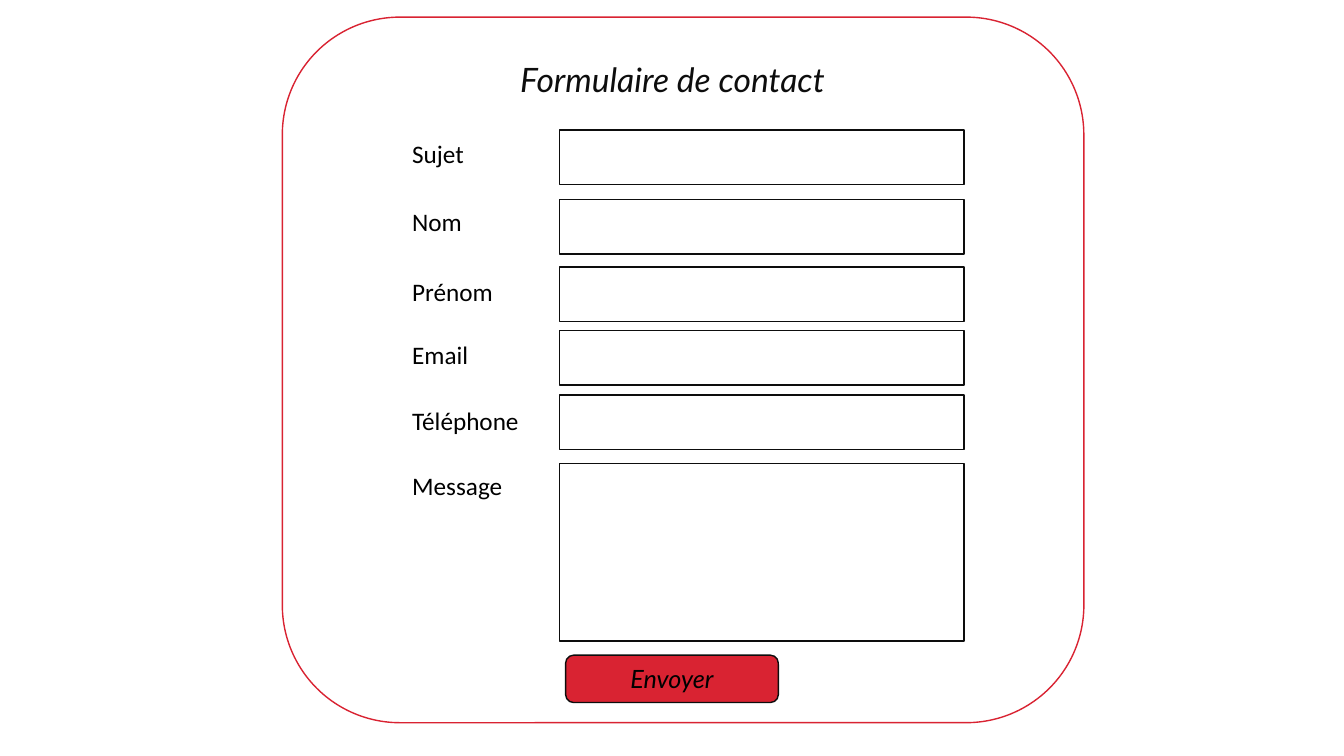
from dataclasses import dataclass

from pptx import Presentation
from pptx.dml.color import RGBColor
from pptx.enum.shapes import MSO_SHAPE
from pptx.enum.text import MSO_ANCHOR, MSO_AUTO_SIZE, PP_ALIGN
from pptx.shapes.autoshape import Shape
from pptx.slide import Slide
from pptx.util import Inches, Pt

COLORS = {"red": "D92332", "ink": "0D0D0D", "black": "000000", "white": "FFFFFF"}
LABEL_LEFT, LABEL_WIDTH = 3.99, 2.77
FIELD_LEFT, FIELD_WIDTH = 5.55, 4.01
ROW_HEIGHT = 0.54


@dataclass
class FormField:
    label: str
    label_top: float
    box_top: float
    box_height: float = ROW_HEIGHT


FIELDS = [
    FormField("Sujet", 1.25, 1.29),
    FormField("Nom", 1.93, 1.98),
    FormField("Prénom", 2.62, 2.65),
    FormField("Email", 3.25, 3.28),
    FormField("Téléphone", 3.9, 3.92),
    FormField("Message", 4.55, 4.6, 1.76),
]


def color(name: str) -> RGBColor:
    return RGBColor.from_string(COLORS[name])


def write_text(shape: Shape, text: str, size: int, font_name: str, color_name: str,
               alignment: PP_ALIGN = PP_ALIGN.LEFT, italic: bool = False) -> None:
    frame = shape.text_frame
    frame.text = text
    frame.word_wrap = True
    frame.auto_size = MSO_AUTO_SIZE.NONE
    frame.vertical_anchor = MSO_ANCHOR.MIDDLE
    paragraph = frame.paragraphs[0]
    paragraph.alignment = alignment
    font = paragraph.runs[0].font
    font.size = Pt(size)
    font.name = font_name
    font.italic = italic
    font.color.rgb = color(color_name)


def add_box(slide: Slide, kind: MSO_SHAPE, left: float, top: float, width: float,
            height: float, line: str, fill: str = "") -> Shape:
    shape = slide.shapes.add_shape(kind, Inches(left), Inches(top), Inches(width), Inches(height))
    shape.shadow.inherit = False
    shape.line.color.rgb = color(line)
    shape.line.width = Pt(1)
    if fill:
        shape.fill.solid()
        shape.fill.fore_color.rgb = color(fill)
    else:
        shape.fill.background()
    return shape


def add_title(slide: Slide) -> None:
    title = slide.shapes.title
    title.left, title.top = Inches(3.28), Inches(0.51)
    title.width, title.height = Inches(6.78), Inches(ROW_HEIGHT)
    write_text(title, "Formulaire de contact", 24, "Lato", "ink", PP_ALIGN.CENTER, True)


def add_field(slide: Slide, field: FormField) -> None:
    label = slide.shapes.add_textbox(Inches(LABEL_LEFT), Inches(field.label_top),
                                     Inches(LABEL_WIDTH), Inches(ROW_HEIGHT))
    write_text(label, field.label, 18, "Calibri", "black")
    add_box(slide, MSO_SHAPE.RECTANGLE, FIELD_LEFT, field.box_top, FIELD_WIDTH,
            field.box_height, "ink", "white")


def main() -> None:
    presentation = Presentation()
    presentation.slide_width = Inches(13.33)
    presentation.slide_height = Inches(7.5)
    slide = presentation.slides.add_slide(presentation.slide_layouts.get_by_name("Title Only"))

    add_title(slide)
    add_box(slide, MSO_SHAPE.ROUNDED_RECTANGLE, 2.8, 0.17, 7.95, 7, "red")
    for field in FIELDS:
        add_field(slide, field)
    button = add_box(slide, MSO_SHAPE.ROUNDED_RECTANGLE, 5.61, 6.5, 2.11, 0.47, "ink", "red")
    write_text(button, "Envoyer", 18, "Lato", "black", PP_ALIGN.CENTER, True)

    presentation.save("out.pptx")


if __name__ == "__main__":
    main()
